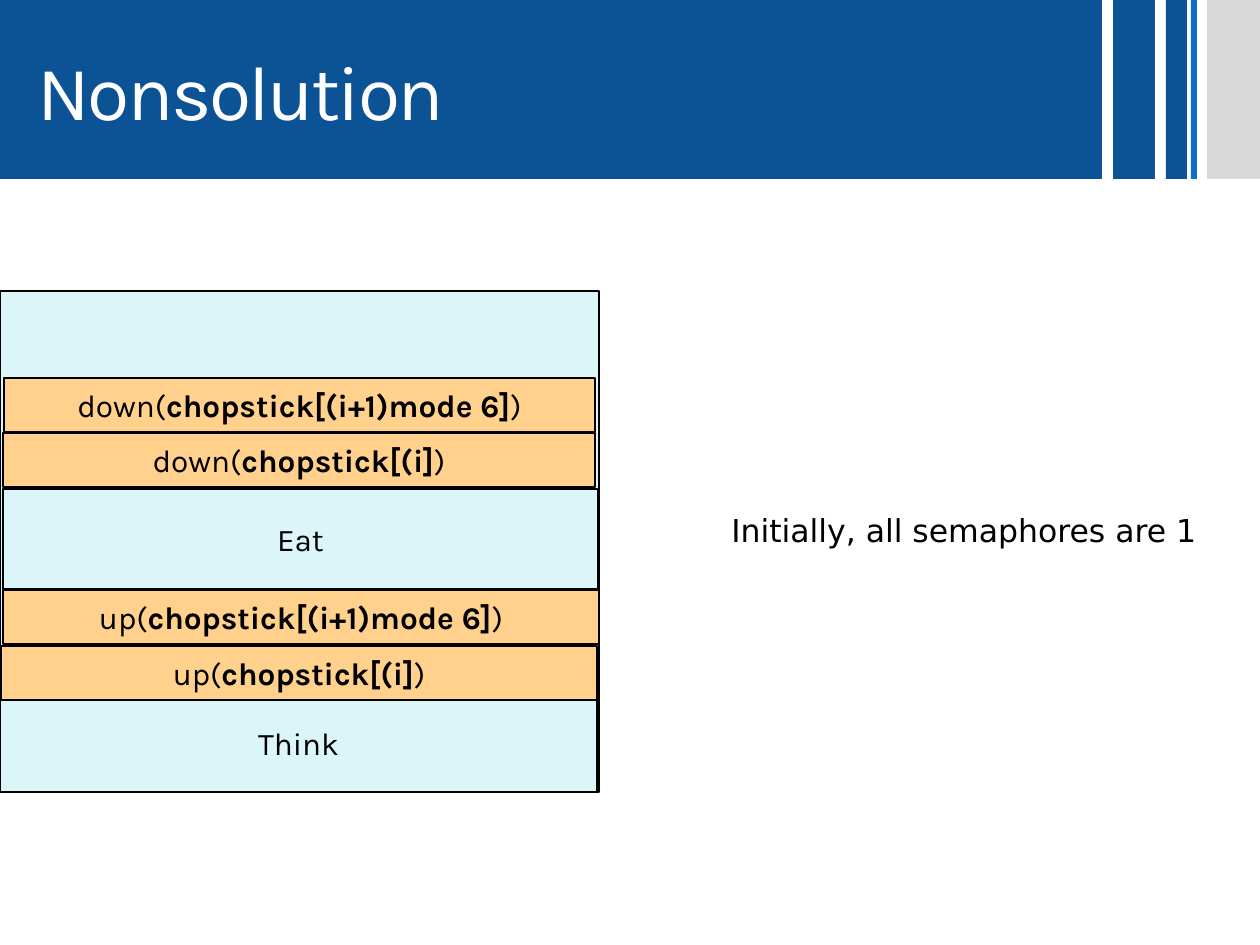
from pptx import Presentation
from pptx import util as u
from pptx.dml.color import RGBColor
from pptx.enum import shapes, text

PX_PER_INCH = 126
NAVY, BLUE, GREY = "0B5394", "0F6FC6", "D9D9D9"
AQUA, ORANGE, BLACK, WHITE = "DBF5F9", "FFD18D", "000000", "FFFFFF"

HEADER_HEIGHT = 179
STRIPES = [  # left, width, fill
    (1113, 42, NAVY),
    (1166, 21, NAVY),
    (1191, 6, BLUE),
    (1207, 53, GREY),
]
TITLE = "Nonsolution"
TITLE_WIDTH = 1102

LOOP_FRAME = (0, 291, 599, 501)
STEPS = [  # box in px, fill, (text, bold) spans
    ((3, 489, 595, 100), AQUA, [("Eat", False)]),
    ((0, 693, 597, 99), AQUA, [("Think", False)]),
    ((4, 378, 591, 54), ORANGE,
     [("down(", False), ("chopstick[(i+1)mode 6]", True), (")", False)]),
    ((3, 433, 592, 54), ORANGE,
     [("down(", False), ("chopstick[(i]", True), (")", False)]),
    ((3, 590, 596, 54), ORANGE,
     [("up(", False), ("chopstick[(i+1)mode 6]", True), (")", False)]),
    ((1, 646, 596, 54), ORANGE,
     [("up(", False), ("chopstick[(i]", True), (")", False)]),
]
NOTE = "Initially, all semaphores are 1"
NOTE_BOX = (719, 505, 500, 50)


def px(length):
    return u.Emu(round(length * u.Inches(1) / PX_PER_INCH))


def color(value):
    return RGBColor.from_string(value)


def set_all(target, **values):
    for name, value in values.items():
        setattr(target, name, value)


def add_rect(parent, box, fill, outlined=False):
    rect = parent.add_shape(shapes.MSO_SHAPE.RECTANGLE, *map(px, box))
    rect.shadow.inherit = False
    rect.fill.solid()
    rect.fill.fore_color.rgb = color(fill)
    if outlined:
        rect.line.color.rgb = color(BLACK)
        rect.line.width = u.Pt(0.75)
    else:
        rect.line.fill.background()
    return rect


def write(box, spans, align, size=18, font="Karla", ink=BLACK, **frame_format):
    """Fill the box with one paragraph and return its last span."""
    set_all(box.text_frame, **frame_format)
    para = box.text_frame.paragraphs[0]
    para.alignment = align
    for words, bold in spans:
        span = para.add_run()
        span.text = words
        set_all(span.font, size=u.Pt(size), name=font, bold=bold)
        span.font.color.rgb = color(ink)
    return span


def main():
    deck = Presentation()
    deck.slide_width, deck.slide_height = u.Inches(10), u.Inches(7.5)
    page = deck.slides.add_slide(deck.slide_layouts[6])

    for left, width, fill in STRIPES:
        add_rect(page.shapes, (left, 0, width, HEADER_HEIGHT), fill)
    header = add_rect(page.shapes, (0, 0, TITLE_WIDTH, HEADER_HEIGHT), NAVY)
    span = write(header, [(TITLE, False)], text.PP_ALIGN.LEFT, size=44, ink=WHITE,
                 vertical_anchor=text.MSO_ANCHOR.MIDDLE, word_wrap=True,
                 margin_left=u.Inches(0.3))
    span.font._element.set("spc", "-150")

    loop = page.shapes.add_group_shape().shapes
    add_rect(loop, LOOP_FRAME, AQUA, outlined=True)
    for box, fill, spans in STEPS:
        step = add_rect(loop, box, fill, outlined=True)
        write(step, spans, text.PP_ALIGN.CENTER,
              vertical_anchor=text.MSO_ANCHOR.MIDDLE, word_wrap=False)

    note = page.shapes.add_textbox(*map(px, NOTE_BOX))
    write(note, [(NOTE, False)], text.PP_ALIGN.LEFT, font="DejaVu Sans",
          word_wrap=False, auto_size=text.MSO_AUTO_SIZE.SHAPE_TO_FIT_TEXT)

    deck.save("out.pptx")


if __name__ == "__main__":
    main()
